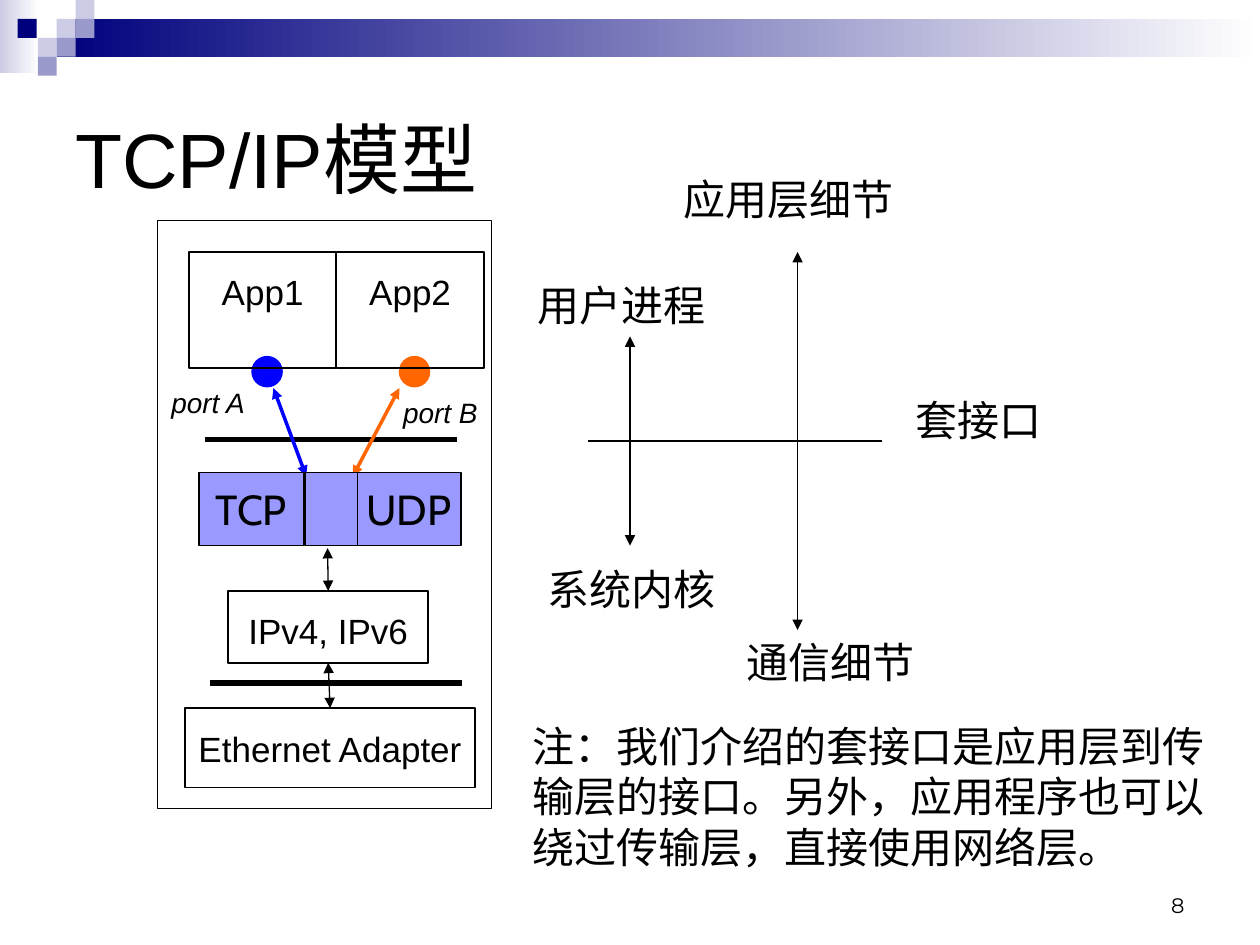
"""Build the TCP/IP model slide with its layer stack and socket axes."""
from lxml import etree
from pptx import Presentation
from pptx import util as u
from pptx.dml.color import RGBColor
from pptx.enum import shapes, text
from pptx.oxml.ns import qn

HUES = {"black": "000000", "white": "FFFFFF", "navy": "00007D", "pale": "CCCCE6",
        "dusk": "9999CC", "lilac": "9999FF", "blue": "0000FF", "orange": "FF6600"}
INK = {name: RGBColor.from_string(code) for name, code in HUES.items()}
RECT = shapes.MSO_SHAPE.RECTANGLE
OVAL = shapes.MSO_SHAPE.OVAL
LEFT, MID, RIGHT = text.PP_ALIGN.LEFT, text.PP_ALIGN.CENTER, text.PP_ALIGN.RIGHT
TOP, CORE, BASE = (text.MSO_ANCHOR.TOP, text.MSO_ANCHOR.MIDDLE,
                   text.MSO_ANCHOR.BOTTOM)
GROW, FIXED = text.MSO_AUTO_SIZE.SHAPE_TO_FIT_TEXT, text.MSO_AUTO_SIZE.NONE

deck = Presentation()
deck.slide_width, deck.slide_height = u.Inches(10), u.Inches(7.5)
slide = deck.slides.add_slide(deck.slide_layouts[6])


def put(words, at, kind=None, fill=None, edge=None, width=0.75, size=24,
        font="Cabin", italic=False, align=LEFT, anchor=TOP, pad=(0.1, 0.05),
        wrap=True, fit=FIXED, before=0):
    spot = [u.Inches(n) for n in at]
    if kind is None:
        item = slide.shapes.add_textbox(*spot)
    else:
        item = slide.shapes.add_shape(kind, *spot)
        item.shadow.inherit = False
    if fill:
        item.fill.solid()
        item.fill.fore_color.rgb = INK[fill]
    else:
        item.fill.background()
    if edge:
        item.line.color.rgb = INK[edge]
        item.line.width = u.Pt(width)
    else:
        item.line.fill.background()
    if words:
        frame = item.text_frame
        frame.word_wrap = wrap
        frame.auto_size = fit
        frame.vertical_anchor = anchor
        frame.margin_left = frame.margin_right = u.Inches(pad[0])
        frame.margin_top = frame.margin_bottom = u.Inches(pad[1])
        para = frame.paragraphs[0]
        para.alignment = align
        para.space_before = u.Pt(before)
        run = para.add_run()
        run.text = words
        run.font.size, run.font.name = u.Pt(size), font
        run.font.italic = italic
        run.font.color.rgb = INK["black"]
    return item


def link(start, end, hue="black", width=0.75, heads=True):
    line = slide.shapes.add_connector(
        shapes.MSO_CONNECTOR.STRAIGHT, *[u.Inches(n) for n in start + end])
    line.line.color.rgb = INK[hue]
    line.line.width = u.Pt(width)
    if heads:
        stroke = line.line._get_or_add_ln()
        for tag in ("a:headEnd", "a:tailEnd"):
            etree.SubElement(stroke, qn(tag), type="triangle")
    etree.SubElement(line._element.spPr, qn("a:effectLst"))
    return line


for at, hue in [((0, 0, 0.31, 0.58), "pale"), ((0.45, 0.15, 9.55, 0.3), "navy")]:
    band = put("", at, RECT)
    band.fill.gradient()
    band.fill.gradient_angle = 180
    for stop, tone in zip(band.fill.gradient_stops, ("white", hue)):
        stop.color.rgb = INK[tone]

for x, y, hue in [(0.45, 0.15, "pale"), (0.6, 0, "pale"), (0.6, 0.15, "dusk"),
                  (0.3, 0.3, "pale"), (0.14, 0.15, "navy"), (0.45, 0.3, "dusk"),
                  (0.3, 0.45, "dusk")]:
    put("", (x, y, 0.15, 0.15), RECT, fill=hue)

put("TCP/IP模型", (0.5, 0.5, 9, 1.5), size=44, font="Arial", anchor=CORE)

box = dict(kind=RECT, edge="black", width=1, size=20, font="Arial", align=MID,
           pad=(0.1, 0.15), wrap=False)
inet = put("IPv4, IPv6", (1.81, 4.69, 1.59, 0.57), **box)
card = put("Ethernet Adapter", (1.47, 5.62, 2.3, 0.63), **box)
link((2.6, 4.35), (2.61, 4.69)).end_connect(inet, 0)
wire = link((2.6, 5.28), (2.61, 5.62))
wire.begin_connect(inet, 2)
wire.end_connect(card, 0)

link((1.63, 3.49), (3.63, 3.49), width=3, heads=False)
put("", (1.25, 1.75, 2.65, 4.67), RECT, edge="black")
for x, start, end, hue in [(2, 2.17, 2.43, "blue"), (3.17, 3.17, 2.8, "orange")]:
    put("", (x, 2.83, 0.24, 0.24), OVAL, fill=hue, edge=hue)
    link((start, 3.08), (end, 3.78), hue, 2)
link((1.67, 5.42), (3.67, 5.42), width=3, heads=False)

for name, x in [("App1", 1.5), ("App2", 2.67)]:
    put(name, (x, 2, 1.17, 0.92), **box)
for name, x, y in [("port A", 1.25, 3), ("port B", 3.09, 3.08)]:
    put(name, (x, y, 0.83, 0.38), size=16, font="Arial", italic=True,
        pad=(0.11, 0.06), wrap=False, fit=GROW)

link((4.67, 3.5), (7, 3.5), heads=False)
link((5, 2.67), (5, 4.33))
link((6.33, 2), (6.33, 5))

for words, at in [
        ("用户进程", (4.17, 2.17, 1.58, 0.5)),
        ("系统内核", (4.25, 4.42, 1.58, 0.5)),
        ("应用层细节", (5.33, 1.33, 2.17, 0.5)),
        ("通信细节", (5.83, 5, 1.67, 0.5)),
        ("套接口", (7.17, 3.08, 2.08, 0.5)),
        ("注：我们介绍的套接口是应用层到传输层的接口。另外，应用程序也可以"
         "绕过传输层，直接使用网络层。", (4.13, 5.67, 5.53, 1.3))]:
    put(words, at, before=15)

for name, x, wide in [("TCP", 1.58, 0.83), ("UDP", 2.83, 0.83), ("", 2.42, 0.42)]:
    put(name, (x, 3.75, wide, 0.58), RECT, fill="lilac", edge="black",
        align=MID, anchor=CORE, wrap=False)

put("8", (7.17, 6.83, 2.33, 0.5), size=12, font="Montserrat", align=RIGHT,
    anchor=BASE)

deck.save("out.pptx")
